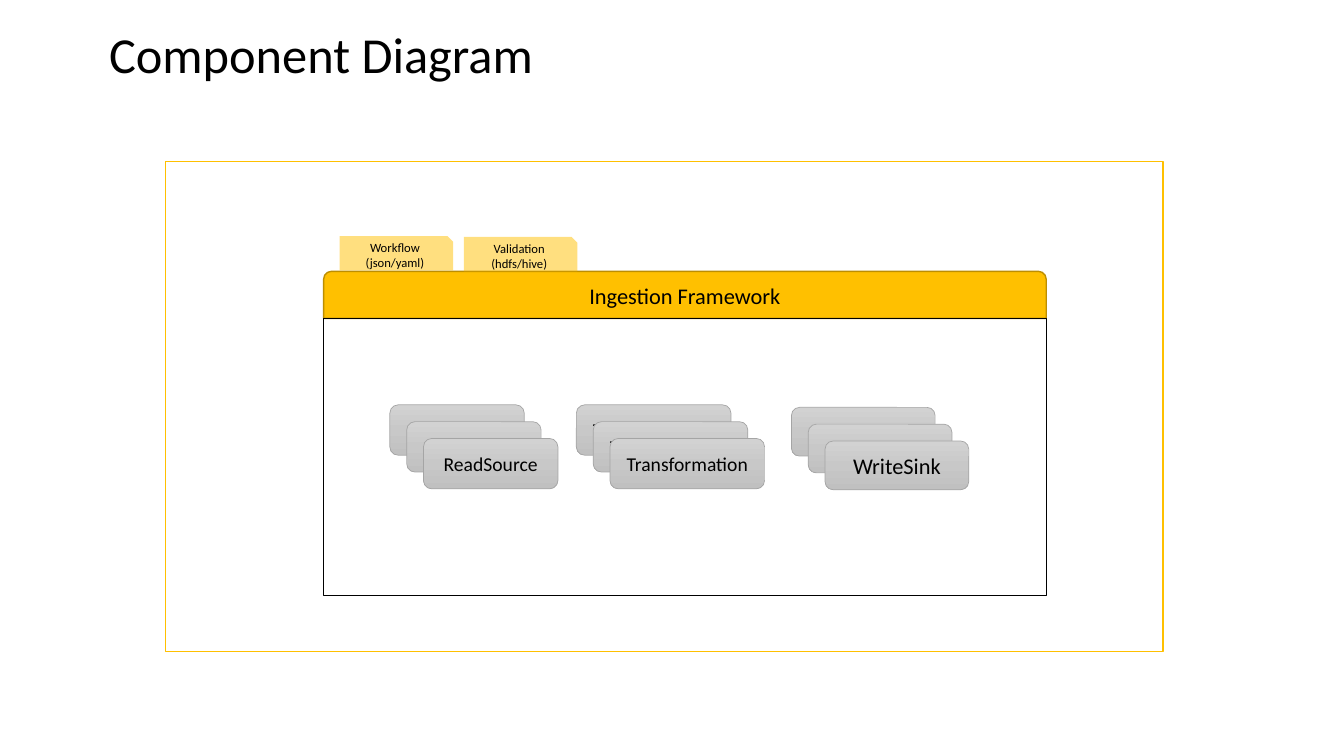
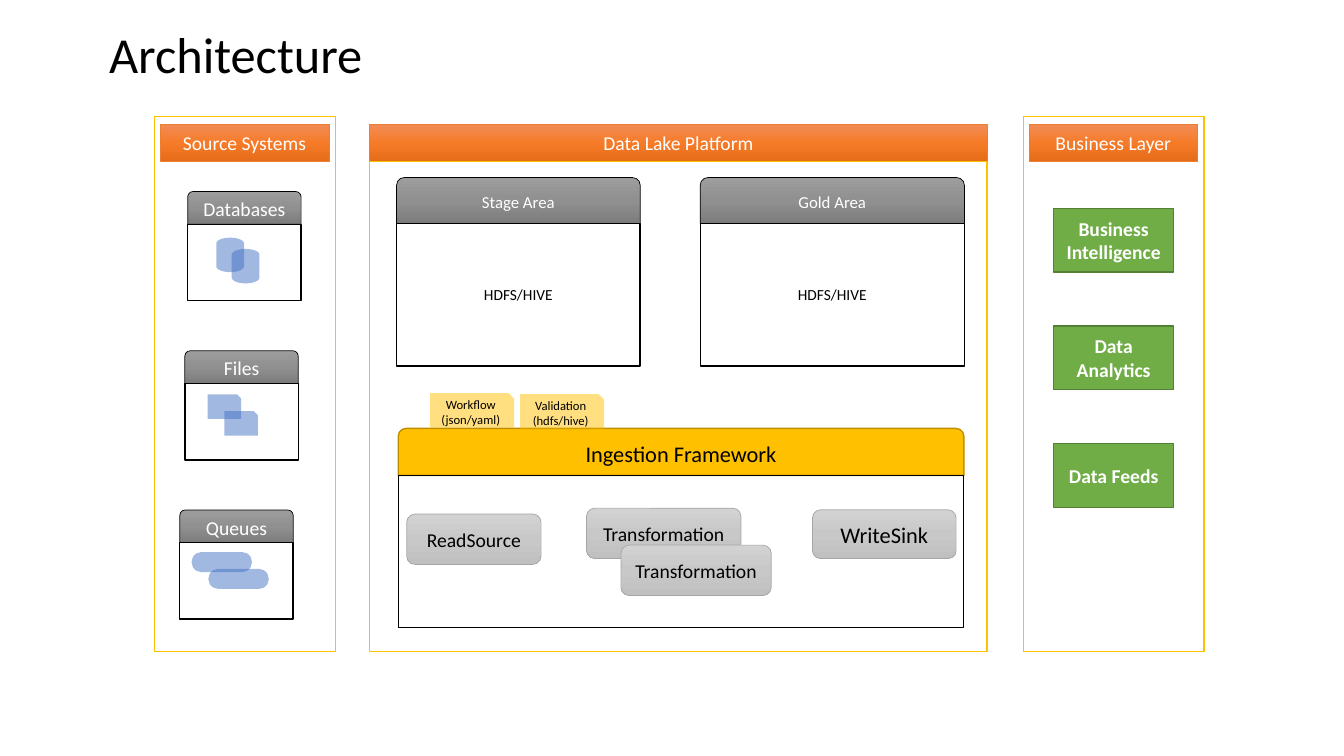
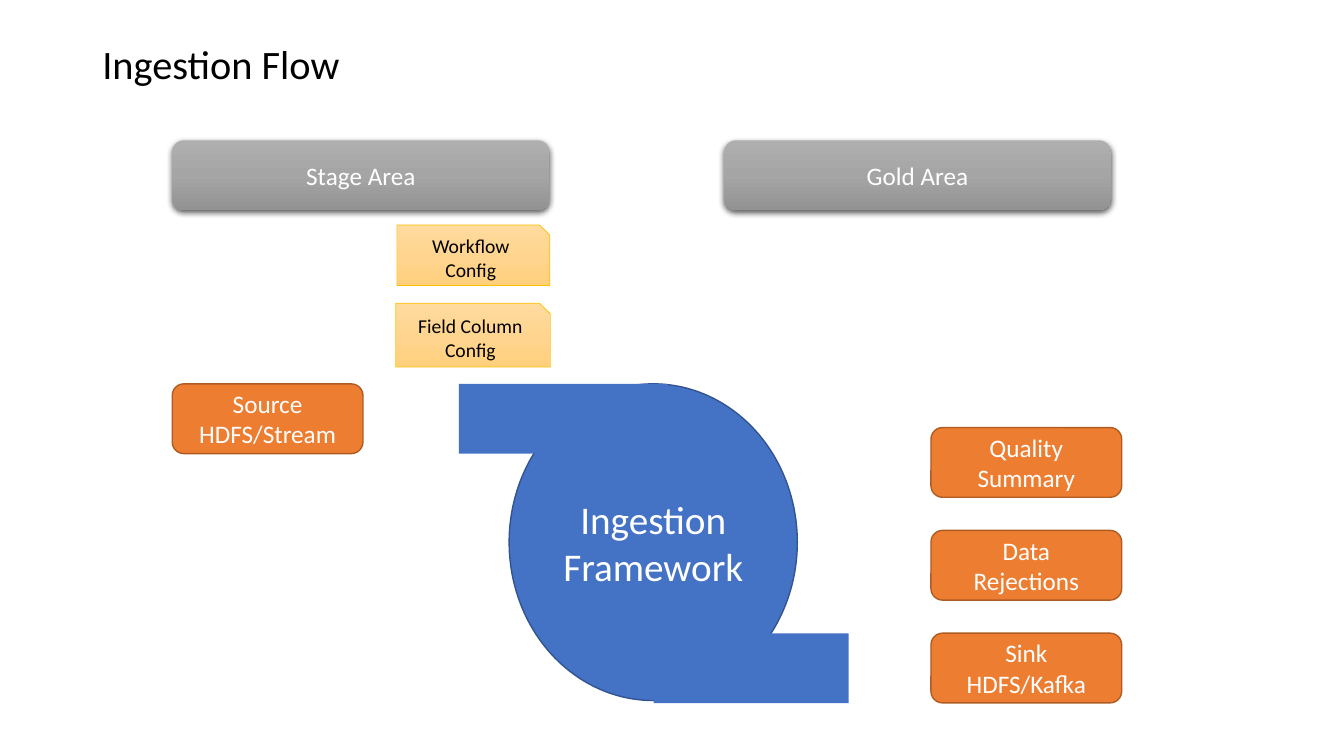
from copy import deepcopy
from dataclasses import dataclass
from typing import Optional

from lxml import etree
from pptx import Presentation
from pptx import util as u
from pptx.dml.color import RGBColor
from pptx.enum import shapes, text
from pptx.oxml import ns

# Grid: 80 columns by 45 rows of square cells fill the slide
SLIDE_WIDTH, SLIDE_HEIGHT = u.Inches(13.33), u.Inches(7.5)
CELL = SLIDE_HEIGHT / 45
FONT = "Calibri"
KIND = shapes.MSO_SHAPE

COLOURS = {
    "white": "FFFFFF", "black": "000000", "amber": "FFC000", "amber edge": "BD8E00",
    "blue": "4472C4", "blue edge": "325491", "green": "70AD47", "green edge": "538035",
    "orange": "ED7D31", "orange edge": "AF5C24", "grey edge": "A5A5A5",
}
GRADIENTS = {
    "orange fade": ("F18C57", "F67B28", "E56C19"),
    "dark fade": ("9D9D9D", "909090", "7C7C7C"),
    "grey fade": ("AFAFAF", "A5A5A5", "939393"),
    "light fade": ("D2D2D2", "C8C8C8", "C0C0C0"),
    "cream fade": ("FFDB9E", "FFD590", "FFD07C"),
}


@dataclass
class Style:
    kind: shapes.MSO_SHAPE
    fill: Optional[str] = None
    line: Optional[str] = None
    weight: float = 1
    ink: str = "black"
    size: float = 14
    bold: bool = False
    opacity: int = 100
    shadow: bool = False


STYLES = {
    "frame": Style(KIND.RECTANGLE, "white", "amber"),
    "banner": Style(KIND.RECTANGLE, "orange fade", "orange", 0.5, "white"),
    "framework head": Style(KIND.ROUND_2_SAME_RECTANGLE, "amber", "amber edge", size=16),
    "framework body": Style(KIND.RECTANGLE, None, "black", 0.75),
    "source head": Style(KIND.ROUND_2_SAME_RECTANGLE, "dark fade", "black", 0.5, "white"),
    "area head": Style(KIND.ROUND_2_SAME_RECTANGLE, "dark fade", "black", 0.5, "white", 12),
    "panel body": Style(KIND.RECTANGLE, "white", "black", size=11),
    "tab": Style(KIND.SNIP_1_RECTANGLE, "amber", size=9, opacity=50),
    "card": Style(KIND.ROUNDED_RECTANGLE, "light fade", "grey edge", 0.5),
    "large card": Style(KIND.ROUNDED_RECTANGLE, "light fade", "grey edge", 0.5, size=16),
    "disk": Style(KIND.FLOWCHART_MAGNETIC_DISK, "blue", opacity=50),
    "file": Style(KIND.SNIP_1_RECTANGLE, "blue", opacity=50),
    "drum": Style(KIND.FLOWCHART_DIRECT_ACCESS_STORAGE, "blue", opacity=50),
    "consumer": Style(KIND.RECTANGLE, "green", "green edge", ink="white", bold=True),
    "hub": Style(KIND.OVAL, "blue", "blue edge", ink="white", size=28),
    "inlet": Style(KIND.PENTAGON, "blue"),
    "outlet": Style(KIND.RECTANGLE, "blue"),
    "endpoint": Style(KIND.ROUNDED_RECTANGLE, "orange", "orange edge", ink="white", size=18),
    "config": Style(KIND.SNIP_1_RECTANGLE, "cream fade", "amber", 0.5),
    "zone": Style(KIND.ROUNDED_RECTANGLE, "grey fade", ink="white", size=18, shadow=True),
}
# Component name: style, width, height
CARDS = {
    "ReadSource": ("card", 8, 3),
    "Transformation": ("card", 9.2, 3),
    "WriteSink": ("large card", 8.55, 2.9),
}


# Basic elements
def cells(*lengths):
    return [round(length * CELL) for length in lengths]


def colour(name):
    return RGBColor.from_string(COLOURS[name])


def paint_gradient(fill, stops):
    fill.gradient()
    fill.gradient_angle = 270
    first = fill.gradient_stops[0]._gs
    first.addnext(deepcopy(first))
    for stop, position, value in zip(fill.gradient_stops, (0, 0.5, 1), stops):
        stop.position = position
        stop.color.rgb = RGBColor.from_string(value)


def paint(box, style):
    if style.fill is None:
        box.fill.background()
    elif style.fill in GRADIENTS:
        paint_gradient(box.fill, GRADIENTS[style.fill])
    else:
        box.fill.solid()
        box.fill.fore_color.rgb = colour(style.fill)
    if style.opacity < 100:
        value = box._element.spPr.find(".//" + ns.qn("a:srgbClr"))
        etree.SubElement(value, ns.qn("a:alpha"), val=str(style.opacity * 1000))
    if style.line:
        box.line.color.rgb = colour(style.line)
        box.line.width = u.Pt(style.weight)
    else:
        box.line.fill.background()


def cast_shadow(box):
    effects = box._element.spPr.find(ns.qn("a:effectLst"))
    shadow = etree.SubElement(effects, ns.qn("a:outerShdw"), blurRad=str(u.Pt(4.5)),
                              dist=str(u.Pt(1.5)), dir="5400000", rotWithShape="0")
    value = etree.SubElement(shadow, ns.qn("a:srgbClr"), val=COLOURS["black"])
    etree.SubElement(value, ns.qn("a:alpha"), val="63000")


def write(box, label, size, ink, align, bold=False):
    frame = box.text_frame
    frame.word_wrap = True
    frame.vertical_anchor = text.MSO_ANCHOR.MIDDLE
    frame.text = label
    for para in frame.paragraphs:
        para.alignment = align
        para.font.name = FONT
        para.font.size = u.Pt(size)
        para.font.bold = bold
        para.font.color.rgb = colour(ink)


def block(page, style_name, x, y, width, height, label=""):
    style = STYLES[style_name]
    box = page.shapes.add_shape(style.kind, *cells(x, y, width, height))
    box.shadow.inherit = False
    paint(box, style)
    if style.shadow:
        cast_shadow(box)
    if label:
        write(box, label, style.size, style.ink, text.PP_ALIGN.CENTER, style.bold)


def titled_page(deck, title, x=5.9, y=1.45, height=3.9, size=36):
    page = deck.slides.add_slide(deck.slide_layouts[6])
    box = page.shapes.add_textbox(*cells(x, y, 69, height))
    write(box, title, size, "black", text.PP_ALIGN.LEFT)
    box.text_frame.paragraphs[0].line_spacing = 0.9
    return page


# Composite elements
def panel(page, head, body, x, y, width, head_height, body_height, title, label=""):
    block(page, head, x, y, width, head_height, title)
    block(page, body, x, y + head_height, width, body_height, label)


def framework(page, x, y, width, body_height, tab_inset, tab_width, tab_pitch):
    panel(page, "framework head", "framework body", x, y, width, 2.8, body_height,
          "Ingestion Framework")
    for i, label in enumerate(("Workflow (json/yaml)", "Validation (hdfs/hive)")):
        block(page, "tab", x + tab_inset + i * tab_pitch, y - 2.1 + i * 0.06,
              tab_width, 2.05, label)


def card(page, name, x, y, width=None):
    style, usual_width, height = CARDS[name]
    block(page, style, x, y, width or usual_width, height, name)


def side_column(page, x, title):
    block(page, "frame", x, 6.95, 10.75, 31.85)
    block(page, "banner", x + 0.33, 7.4, 10.05, 2.2, title)


def source_system(page, x, y, title, icon, inset, drop, width, height, step_x, step_y):
    panel(page, "source head", "panel body", x, y, 6.75, 1.95, 4.55, title)
    for i in range(2):
        block(page, icon, x + inset + i * step_x, y + drop + i * step_y, width, height)


# Slides
def component_diagram(deck):
    page = titled_page(deck, "Component Diagram")
    block(page, "frame", 9.85, 9.6, 59.35, 29.2)
    framework(page, 19.26, 16.15, 43, 16.5, 0.95, 6.75, 7.4)
    for name, x, y in (("ReadSource", 23.2, 24.1), ("Transformation", 34.3, 24.1),
                       ("WriteSink", 47.1, 24.25)):
        for step in range(3):
            card(page, name, x + step, y + step)


def architecture(deck):
    page = titled_page(deck, "Architecture")

    # Source systems
    side_column(page, 9.2, "Source Systems")
    sources = (
        (11.17, "Databases", "disk", 1.7, 2.75, 1.65, 2.05, 0.92, 0.67),
        (11, "Files", "file", 1.35, 2.6, 2, 1.45, 1, 1),
        (10.7, "Queues", "drum", 0.7, 2.5, 3.6, 1.2, 1, 1),
    )
    for i, (x, *details) in enumerate(sources):
        source_system(page, x, 11.4 + i * 9.48, *details)

    # Data lake platform
    panel(page, "banner", "frame", 22, 7.4, 36.75, 2.2, 29.2, "Data Lake Platform")
    for title, x, width in (("Stage Area", 23.6, 14.5), ("Gold Area", 41.67, 15.72)):
        panel(page, "area head", "panel body", x, 10.57, width, 2.73, 8.5, title, "HDFS/HIVE")
    framework(page, 23.7, 25.5, 33.66, 9.06, 1.9, 5, 5.35)
    card(page, "ReadSource", 24.2, 30.6)
    card(page, "Transformation", 34.9, 30.25)
    card(page, "Transformation", 36.95, 32.45, 8.95)
    card(page, "WriteSink", 48.35, 30.35)

    # Business layer
    side_column(page, 60.9, "Business Layer")
    for i, label in enumerate(("Business\nIntelligence", "Data Analytics", "Data Feeds")):
        block(page, "consumer", 62.7, 12.4 + i * 7, 7.15, 3.8, label)


def ingestion_flow(deck):
    page = titled_page(deck, "Ingestion Flow", 5.5, 2.4, 3.05, 28.8)

    # Central hub with its inlet and outlet
    block(page, "hub", 30.3, 22.85, 17.15, 18.85, "Ingestion Framework")
    block(page, "inlet", 27.3, 22.85, 14.45, 4.15)
    block(page, "outlet", 38.9, 37.7, 11.6, 4.15)

    # Zones and configuration files
    block(page, "zone", 10.25, 8.35, 22.45, 4.15, "Stage Area")
    block(page, "zone", 43.1, 8.35, 23, 4.15, "Gold Area")
    block(page, "config", 23.62, 13.4, 9.1, 3.6, "Workflow Config")
    block(page, "config", 23.55, 18.05, 9.2, 3.8, "Field Column Config")

    # Input and outputs
    block(page, "endpoint", 10.25, 22.85, 11.35, 4.15, "Source HDFS/Stream")
    for i, label in enumerate(("Quality\nSummary", "Data\nRejections", "Sink HDFS/Kafka")):
        block(page, "endpoint", 55.4, 25.45 + i * 6.12, 11.35, 4.15, label)


def main():
    deck = Presentation()
    deck.slide_width, deck.slide_height = SLIDE_WIDTH, SLIDE_HEIGHT
    component_diagram(deck)
    architecture(deck)
    ingestion_flow(deck)
    deck.save("out.pptx")


if __name__ == "__main__":
    main()
